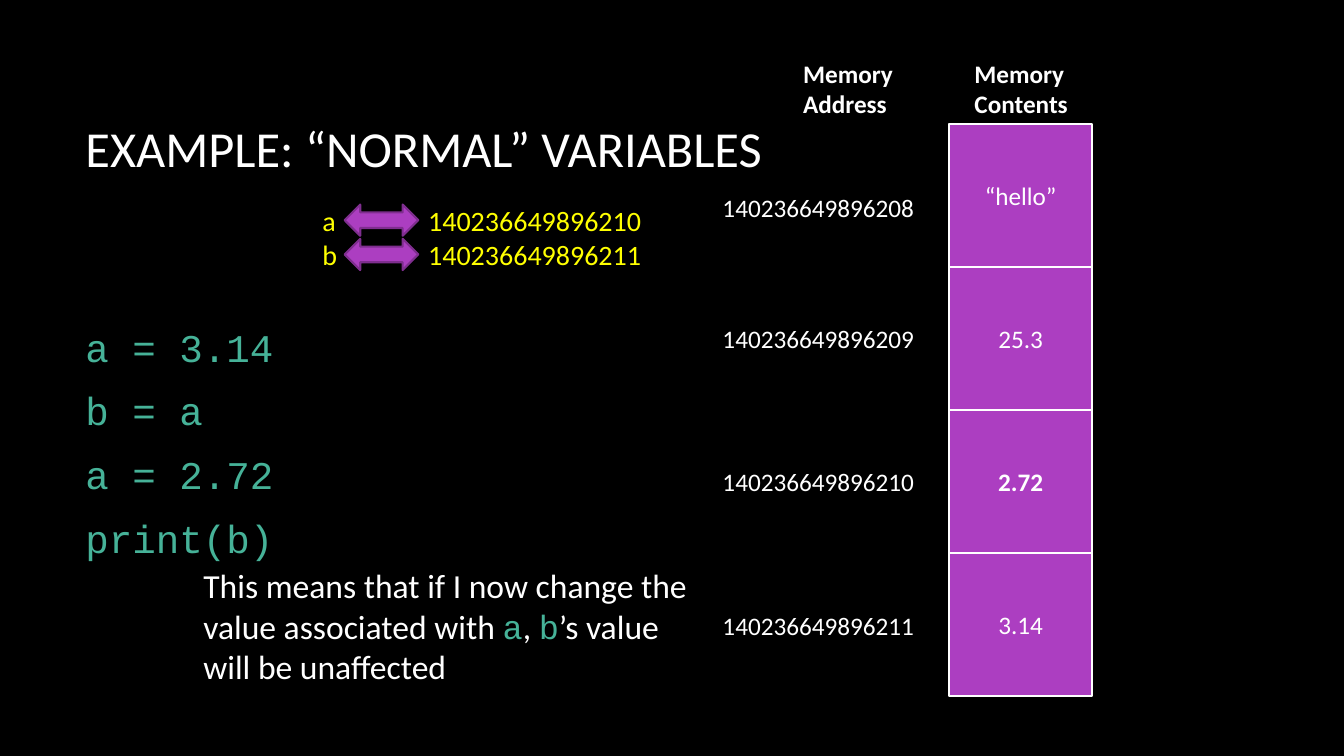
from pptx import Presentation
from pptx.dml.color import RGBColor
from pptx.enum.shapes import MSO_SHAPE as Shape
from pptx.enum.text import MSO_ANCHOR as Anchor, MSO_AUTO_SIZE as AutoSize, PP_ALIGN as Align
from pptx.util import Pt

COLORS = {
    "background": "000000",
    "text": "FFFFFF",
    "code": "46B298",
    "binding": "FFFF00",
    "memory": "AC3EC1",
    "arrow_edge": "7F2E8F",
}
BODY_FONT = "Calibri"
CODE_FONT = "Courier New"


class MemorySlide:
    def __init__(self, deck):
        self.slide = deck.slides.add_slide(deck.slide_layouts[6])
        background = self.slide.background.fill
        background.solid()
        background.fore_color.rgb = self.color("background")

    def color(self, name):
        return RGBColor.from_string(COLORS[name])

    def style(self, run, size, color="text", font=BODY_FONT, bold=False):
        run.font.size = Pt(size)
        run.font.name = font
        run.font.bold = bold
        run.font.color.rgb = self.color(color)

    def box(self, left, top, width, height, anchor=Anchor.TOP, wrap=True, grow=True):
        frame = self.slide.shapes.add_textbox(Pt(left), Pt(top), Pt(width), Pt(height)).text_frame
        frame.word_wrap = wrap
        frame.vertical_anchor = anchor
        frame.auto_size = AutoSize.SHAPE_TO_FIT_TEXT if grow else AutoSize.NONE
        return frame

    def label(self, text, left, top, width, height, size=18, color="text", bold=False, **layout):
        frame = self.box(left, top, width, height, **layout)
        frame.text = text
        self.style(frame.paragraphs[0].runs[0], size, color, bold=bold)

    def code(self, lines, left, top, width, height):
        frame = self.box(left, top, width, height, anchor=Anchor.MIDDLE, grow=False)
        frame.margin_top = Pt(9)
        frame.text = "\n".join(lines)
        for line in frame.paragraphs:
            line.space_after = Pt(10)
            line.line_spacing = 1.06
            self.style(line.runs[0], 28, "code", CODE_FONT)

    def explanation(self, parts, left, top, width, height):
        sentence = self.box(left, top, width, height).paragraphs[0]
        for text, is_code in parts:
            run = sentence.add_run()
            run.text = text
            if is_code:
                self.style(run, 24, "code", CODE_FONT)
            else:
                self.style(run, 24)

    def block(self, kind, left, top, width, height, edge):
        block = self.slide.shapes.add_shape(kind, Pt(left), Pt(top), Pt(width), Pt(height))
        block.shadow.inherit = False
        block.fill.solid()
        block.fill.fore_color.rgb = self.color("memory")
        block.line.color.rgb = self.color(edge)
        block.line.width = Pt(1.5)
        return block

    def cell(self, value, left, top, side, bold):
        frame = self.block(Shape.RECTANGLE, left, top, side, side, "text").text_frame
        frame.text = value
        frame.vertical_anchor = Anchor.MIDDLE
        content = frame.paragraphs[0]
        content.alignment = Align.CENTER
        self.style(content.runs[0], 18, bold=bold)

    def binding(self, name, address, top):
        self.label(name, 223.2, top, 237.6, 31.5, 20, "binding")
        self.block(Shape.LEFT_RIGHT_ARROW, 246.2, top + 4.3, 52.6, 22.3, "arrow_edge")
        self.label(address, 298.8, top, 167.8, 31.5, 20, "binding", wrap=False)


def main():
    deck = Presentation()
    deck.slide_width, deck.slide_height = Pt(960), Pt(540)
    page = MemorySlide(deck)

    page.label("EXAMPLE: “NORMAL” VARIABLES", 54, 48.2, 798, 114.5, 36,
               anchor=Anchor.MIDDLE, grow=False)
    page.code(["a = 3.14", "b = a", "a = 2.72", "print(b)"], 54, 168.5, 798, 287.3)

    cell_side = 102.1
    memory = [
        ("140236649896208", 134, "“hello”"),
        ("140236649896209", 227.5, "25.3"),
        ("140236649896210", 329.2, "2.72"),
        ("140236649896211", 432.7, "3.14"),
    ]
    for row, (address, address_top, value) in enumerate(memory):
        page.cell(value, 678, 88.6 + row * cell_side, cell_side, value == "2.72")
        page.label(address, 509, address_top, 152.6, 29, wrap=False)

    page.label("Memory Address", 566.6, 38.2, 79.2, 51, bold=True)
    page.label("Memory Contents", 689, 38.2, 100, 51, bold=True)

    page.binding("a", "140236649896210", 141.8)
    page.binding("b", "140236649896211", 166.3)

    page.explanation([
        ("This means that if I now change the value associated with ", False),
        ("a", True),
        (", ", False),
        ("b", True),
        ("’s value will be unaffected", False),
    ], 138.2, 400.3, 363, 94.5)

    deck.save("out.pptx")


if __name__ == "__main__":
    main()
